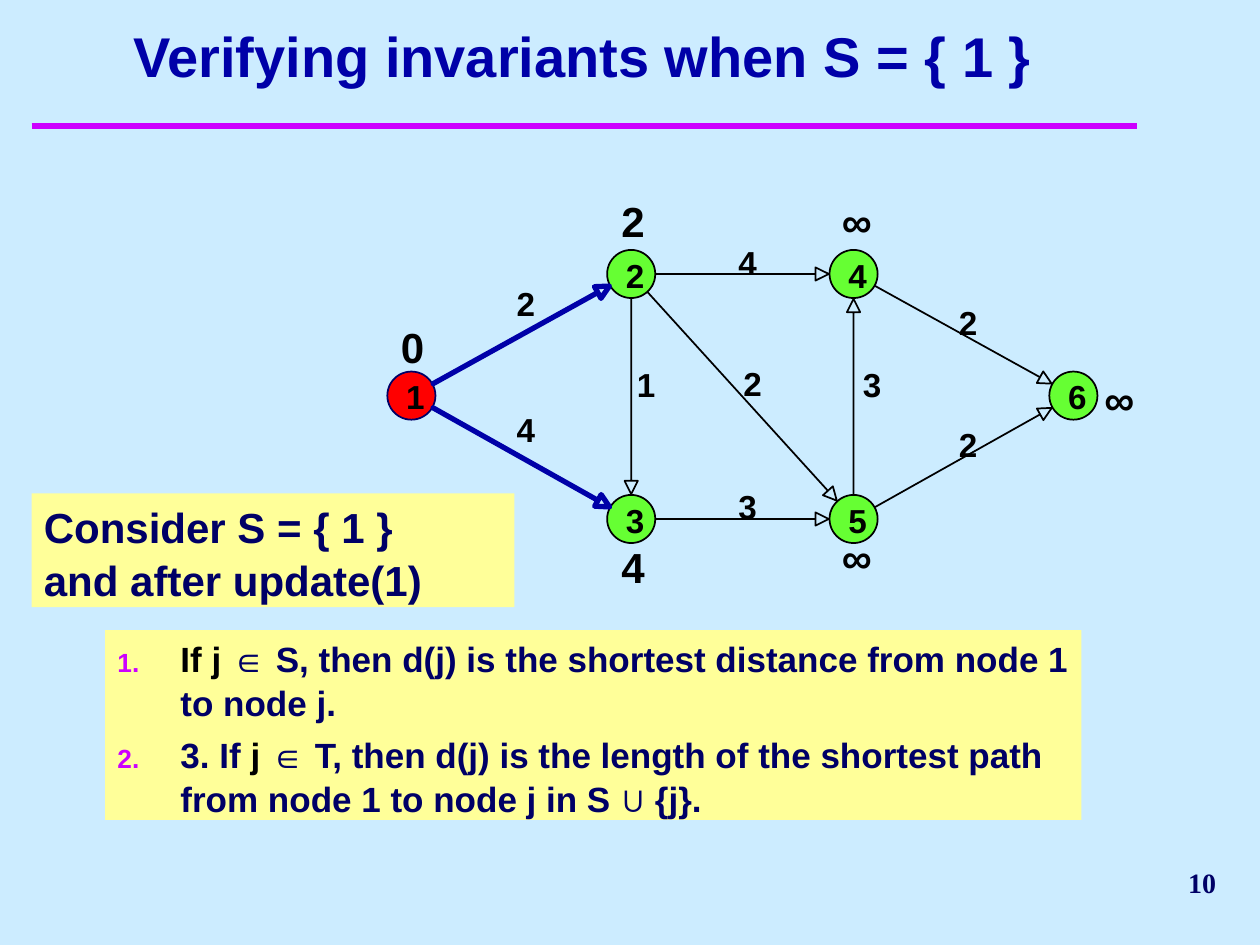
from math import hypot
from lxml import etree
from pptx import Presentation
from pptx.util import Pt
from pptx.dml.color import RGBColor
from pptx.enum.shapes import MSO_CONNECTOR as Conn, MSO_SHAPE as Kind
from pptx.enum.text import MSO_ANCHOR as Anchor, PP_ALIGN as Align
from pptx.oxml.ns import qn

COLORS = {
    "back": "CCECFF", "rule": "CC00FF", "title": "0000A8", "navy": "000066",
    "note": "FFFF99", "node": "66FF33", "done": "FF0000", "ink": "000000",
}
SANS, SERIF = "Arial", "Times New Roman"

# Node: column, row, colour, outline
COLS, ROWS = (13.1, 138.7, 265.8, 391.4), (48.6, 118.1, 188.6)
NODES = {
    1: (0, 1, "done", "navy"), 2: (1, 0, "node", "ink"),
    3: (1, 2, "node", "ink"), 4: (2, 0, "node", "ink"),
    5: (2, 2, "node", "ink"), 6: (3, 1, "node", "ink"),
}
# Edge: from, to, weight, place of the weight, chosen or not
EDGES = [
    (1, 2, "2", 73.2, 54, True), (2, 4, "4", 199.9, 30.2, False),
    (2, 5, "2", 202.8, 99.4, False), (2, 3, "1", 142, 100, False),
    (3, 5, "3", 199.9, 169.9, False), (1, 3, "4", 73.2, 126, True),
    (4, 6, "2", 325.9, 64.8, False), (5, 4, "3", 271, 100, False),
    (5, 6, "2", 325.9, 134.6, False),
]
# Distance shown beside each node
DISTS = [("0", 0, 72), ("2", 126, 0), ("4", 126, 198),
         ("∞", 252, 0), ("∞", 252, 192), ("∞", 402, 102)]
RULES = [
    [("If j ", SANS, "ink"), ("∈", SERIF, "navy"),
     (" S, then d(j) is the shortest distance from node 1 to node j.",
      SANS, "navy")],
    [("3. If ", SANS, "navy"), ("j ", SANS, "ink"), ("∈", SERIF, "navy"),
     (" T, then d(j) is the length of the shortest path from node 1 "
      "to node j in S ∪ {j}.", SANS, "navy")],
]


def color(name):
    return RGBColor.from_string(COLORS[name])


def paint(shape, fill=None, line=None, width=1):
    shape.shadow.inherit = False
    if fill:
        shape.fill.solid()
        shape.fill.fore_color.rgb = color(fill)
    else:
        shape.fill.background()
    if line:
        shape.line.color.rgb = color(line)
        shape.line.width = Pt(width)
    else:
        shape.line.fill.background()


def write(slide, box, text, size, tone="ink", face=SANS, align=Align.LEFT,
          anchor=Anchor.TOP, tight=False):
    shape = slide.shapes.add_textbox(*map(Pt, box))
    frame = shape.text_frame
    frame.word_wrap = not tight
    frame.vertical_anchor = anchor
    if tight:
        frame.margin_left = frame.margin_right = 0
        frame.margin_top = frame.margin_bottom = 0
    para = frame.paragraphs[0]
    para.text = text
    para.alignment = align
    font = para.font
    font.name, font.size, font.bold = face, Pt(size), True
    font.color.rgb = color(tone)
    return shape


def header(slide, x, y, w, h):
    write(slide, (x, y, w, h), "Verifying invariants when S = { 1 }", 32,
          "title", align=Align.CENTER, anchor=Anchor.BOTTOM)
    rule = slide.shapes.add_connector(
        Conn.STRAIGHT, Pt(x - 12), Pt(y + 72), Pt(x + w + 14), Pt(y + 72))
    rule.line.color.rgb = color("rule")
    rule.line.width = Pt(4)
    etree.SubElement(rule.element.spPr, qn("a:effectLst"))


def arrow(slide, start, end, chosen):
    """Shaft with a hollow head, stopping short of both node centres."""
    (ax, ay), (bx, by) = start, end
    span = hypot(bx - ax, by - ay)
    ux, uy = (bx - ax) / span, (by - ay) / span
    gap, head, half = 14.2, 7.6, 3.8

    def spot(along, side=0):
        return (Pt(ax + ux * along - uy * side),
                Pt(ay + uy * along + ux * side))

    tail, tip = spot(gap), spot(span - gap)
    base = span - gap - head
    path = slide.shapes.build_freeform(*tail)
    path.add_line_segments(
        [spot(base), spot(base, half), tip, spot(base, -half), spot(base)],
        close=True)
    paint(path.convert_to_shape(), None, *(("title", 3) if chosen else ("ink", 1)))


def graph(slide, x, y):
    size = 27.5
    spots = {name: (x + COLS[col], y + ROWS[row])
             for name, (col, row, *_) in NODES.items()}
    # Nodes
    for name, (_, _, fill, line) in NODES.items():
        cx, cy = spots[name]
        disc = slide.shapes.add_shape(
            Kind.OVAL, Pt(cx - size / 2), Pt(cy - size / 2), Pt(size), Pt(size))
        paint(disc, fill, line)
        write(slide, (cx - 3, cy - 11, 10.8, 23), str(name), 19, tight=True)
    # Edges and weights
    for start, end, weight, dx, dy, chosen in EDGES:
        arrow(slide, spots[start], spots[end], chosen)
        write(slide, (x + dx, y + dy, 10.8, 23), weight, 19, tight=True)
    # Distances
    for text, dx, dy in DISTS:
        write(slide, (x + dx, y + dy, 36, 36), text, 24)


def remark(slide, x, y, w, h):
    note = write(slide, (x, y, w, h),
                 "Consider S = { 1 }\vand after update(1)", 24, "navy")
    note.text_frame.paragraphs[0].line_spacing = 1.04
    paint(note, "note")


def number(para):
    """Numbered bullet, smaller than the text and in the rule's colour."""
    props = para._p.get_or_add_pPr()
    props.set("marL", str(Pt(36)))
    props.set("indent", str(-Pt(36)))
    tint = etree.SubElement(props, qn("a:buClr"))
    etree.SubElement(tint, qn("a:srgbClr"), val=COLORS["rule"])
    etree.SubElement(props, qn("a:buSzPct"), val="75000")
    etree.SubElement(props, qn("a:buFont"), typeface=SANS)
    etree.SubElement(props, qn("a:buAutoNum"), type="arabicPeriod")


def rules(slide, x, y, w, h):
    panel = slide.shapes.add_textbox(Pt(x), Pt(y), Pt(w), Pt(h))
    paint(panel, "note")
    frame = panel.text_frame
    frame.word_wrap = True
    for i, parts in enumerate(RULES):
        para = frame.add_paragraph() if i else frame.paragraphs[0]
        number(para)
        para.line_spacing = 1.04
        if i:
            para.space_before = Pt(5)
        para.font.size, para.font.bold = Pt(20), True
        for text, face, tone in parts:
            run = para.add_run()
            run.text = text
            run.font.name = face
            run.font.color.rgb = color(tone)


def main():
    deck = Presentation()
    deck.slide_width, deck.slide_height = Pt(720), Pt(540)
    slide = deck.slides.add_slide(deck.slide_layouts[6])
    slide.background.fill.solid()
    slide.background.fill.fore_color.rgb = color("back")
    header(slide, 30, 0, 606, 54)
    rules(slide, 60, 360, 558, 108.6)
    graph(slide, 222, 108)
    remark(slide, 18, 282, 276, 65)
    # Page number
    write(slide, (564, 486, 138, 36), "10", 16, "navy", SERIF,
          Align.RIGHT, Anchor.MIDDLE)
    deck.save("out.pptx")


if __name__ == "__main__":
    main()
